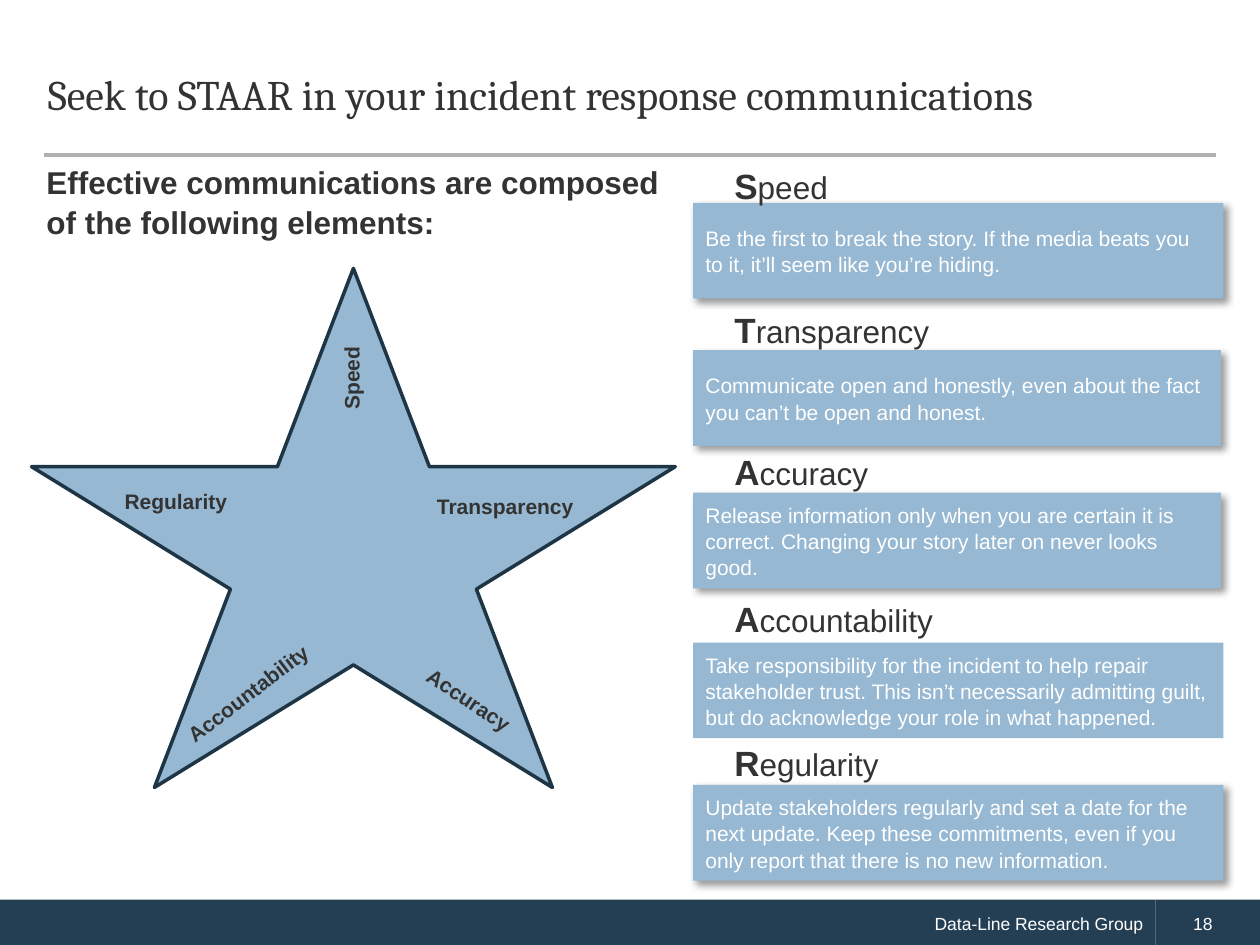
from dataclasses import dataclass

from pptx import Presentation, util as u
from pptx.dml.color import RGBColor
from pptx.enum import shapes, text
from pptx.oxml import parse_xml
from pptx.oxml.ns import nsdecls


@dataclass(frozen=True)
class Theme:
    ink: str = "333333"
    white: str = "FFFFFF"
    panel: str = "96B8D2"
    outline: str = "1E3546"
    footer: str = "243F54"
    rule: str = "B1B0AE"
    heading_font: str = "Cambria"
    body_font: str = "Arial"
    title_size: int = 24
    initial_size: int = 20
    head_size: int = 18
    body_size: int = 12
    footer_size: int = 10
    leading: float = 1.05


EFFECTS = f"<a:effectLst {nsdecls('a')}>%s</a:effectLst>"
SHADOW = ('<a:outerShdw blurRad="50800" dist="38100" dir="2700000" algn="tl" rotWithShape="0">'
          '<a:srgbClr val="000000"><a:alpha val="40000"/></a:srgbClr></a:outerShdw>')


def apply(target, **values):
    for name, value in values.items():
        setattr(target, name, value)


class SlideBuilder:
    def __init__(self, deck, theme):
        self.theme = theme
        self.page = deck.slides.add_slide(deck.slide_layouts[5])
        self.canvas = self.page.shapes

    def fill_text(self, box, spans, color=None, align=text.PP_ALIGN.LEFT,
                  anchor=text.MSO_ANCHOR.TOP, spacing=None, after=0):
        """Fill a box with one paragraph of (words, size, bold, font) spans."""
        frame = box.text_frame
        apply(frame, word_wrap=True, vertical_anchor=anchor)
        para = frame.paragraphs[0]
        apply(para, alignment=align, space_after=u.Pt(after),
              line_spacing=spacing or self.theme.leading)
        for words, size, bold, font in spans:
            for number, line in enumerate(words.split("\n")):
                if number:
                    para.add_line_break()
                span = para.add_run()
                span.text = line
                apply(span.font, size=u.Pt(size), bold=bold, name=font)
                span.font.color.rgb = RGBColor.from_string(color or self.theme.ink)

    def title(self, words):
        box = self.page.shapes.title
        apply(box, left=u.Inches(0.28), top=u.Inches(0.29),
              width=u.Inches(9.43), height=u.Inches(0.94))
        self.fill_text(box, [(words, self.theme.title_size, False, self.theme.heading_font)],
                       anchor=text.MSO_ANCHOR.MIDDLE, spacing=u.Pt(26))

    def rule(self, left, right, y):
        line = self.canvas.add_connector(shapes.MSO_CONNECTOR.STRAIGHT, u.Inches(left),
                                         u.Inches(y), u.Inches(right), u.Inches(y))
        line.line.color.rgb = RGBColor.from_string(self.theme.rule)
        line.line.width = u.Pt(1.75)
        line._element.spPr.append(parse_xml(EFFECTS % ""))

    def shape(self, kind, place, fill, outline=None):
        box = self.canvas.add_shape(kind, *map(u.Inches, place))
        box.shadow.inherit = False
        box.fill.solid()
        box.fill.fore_color.rgb = RGBColor.from_string(fill)
        if outline:
            box.line.color.rgb = RGBColor.from_string(outline)
            box.line.width = u.Pt(2)
        else:
            box.line.fill.background()
        return box

    def panel(self, place, words, fill, size, shadow=False, indent=0.1, **layout):
        box = self.shape(shapes.MSO_SHAPE.RECTANGLE, place, fill)
        if shadow:
            properties = box._element.spPr
            properties.remove(properties.find("{*}effectLst"))
            properties.append(parse_xml(EFFECTS % SHADOW))
        box.text_frame.margin_left = u.Inches(indent)
        self.fill_text(box, [(words, size, False, self.theme.body_font)], self.theme.white,
                       anchor=text.MSO_ANCHOR.MIDDLE, **layout)

    def label(self, place, spans, turn=0, after=0):
        box = self.canvas.add_textbox(*map(u.Inches, place))
        box.rotation = turn
        self.fill_text(box, [(*span, self.theme.body_font) for span in spans], after=after)

    def star(self, place, labels):
        self.canvas = self.page.shapes.add_group_shape().shapes
        self.shape(shapes.MSO_SHAPE.STAR_5_POINT, place, self.theme.panel, self.theme.outline)
        for words, left, top, width, turn in labels:
            self.label((left, top, width, 0.33), [(words, self.theme.body_size, True)], turn)
        self.canvas = self.page.shapes

    def heading(self, top, word):
        self.label((5.73, top, 2.2, 0.44), [(word[0], self.theme.initial_size, True),
                                            (word[1:], self.theme.head_size, False)], after=6)


# Point labels: words, left, top, width, rotation
POINTS = [
    ("Speed", 2.36, 2.75, 0.87, 270),
    ("Transparency", 3.37, 3.86, 1.7, 0),
    ("Accuracy", 3.21, 5.51, 1.37, 33.5),
    ("Accountability", 1.27, 5.26, 1.61, 322.7),
    ("Regularity", 0.89, 3.82, 2.23, 0),
]

# Elements: heading, heading top, panel top, panel width, shadow, advice
ELEMENTS = [
    ("Speed", 1.24, 1.61, 4.21, True,
     "Be the first to break the story. If the media beats you to it, it’ll seem like "
     "you’re hiding."),
    ("Transparency", 2.38, 2.78, 4.19, True,
     "Communicate open and honestly, even about the fact you can’t be open and honest."),
    ("Accuracy", 3.51, 3.91, 4.19, True,
     "Release information only when you are certain it is correct. Changing your story "
     "later on never looks good."),
    ("Accountability", 4.68, 5.1, 4.21, False,
     "Take responsibility for the incident to help repair stakeholder trust. This isn’t "
     "necessarily admitting guilt, but do acknowledge your role in what happened."),
    ("Regularity", 5.82, 6.23, 4.21, True,
     "Update stakeholders regularly and set a date for the next update. Keep these "
     "commitments, even if you only report that there is no new information."),
]


def main():
    deck = Presentation()
    apply(deck, slide_width=u.Inches(10), slide_height=u.Inches(7.5))
    theme = Theme()
    slide = SlideBuilder(deck, theme)

    # Footer, rule and title
    slide.panel((0, 7.14, 9.17, 0.37), "Data-Line Research Group", theme.footer,
                theme.footer_size, align=text.PP_ALIGN.RIGHT)
    slide.panel((9.17, 7.14, 0.83, 0.37), "18", theme.footer, theme.footer_size, indent=0.3)
    slide.rule(0.35, 9.65, 1.23)
    slide.title("Seek to STAAR in your incident response communications")

    # Lead-in and star
    lead = "Effective communications are composed \nof the following elements:"
    slide.label((0.27, 1.23, 5.46, 0.71), [(lead, theme.head_size, True)], after=6)
    slide.star((0.25, 2.13, 5.11, 4.12), POINTS)

    # Advice panels, each under its heading
    for word, heading_top, panel_top, width, shadow, advice in ELEMENTS:
        slide.panel((5.5, panel_top, width, 0.76), advice, theme.panel,
                    theme.body_size, shadow)
        slide.heading(heading_top, word)

    deck.save("out.pptx")


if __name__ == "__main__":
    main()
